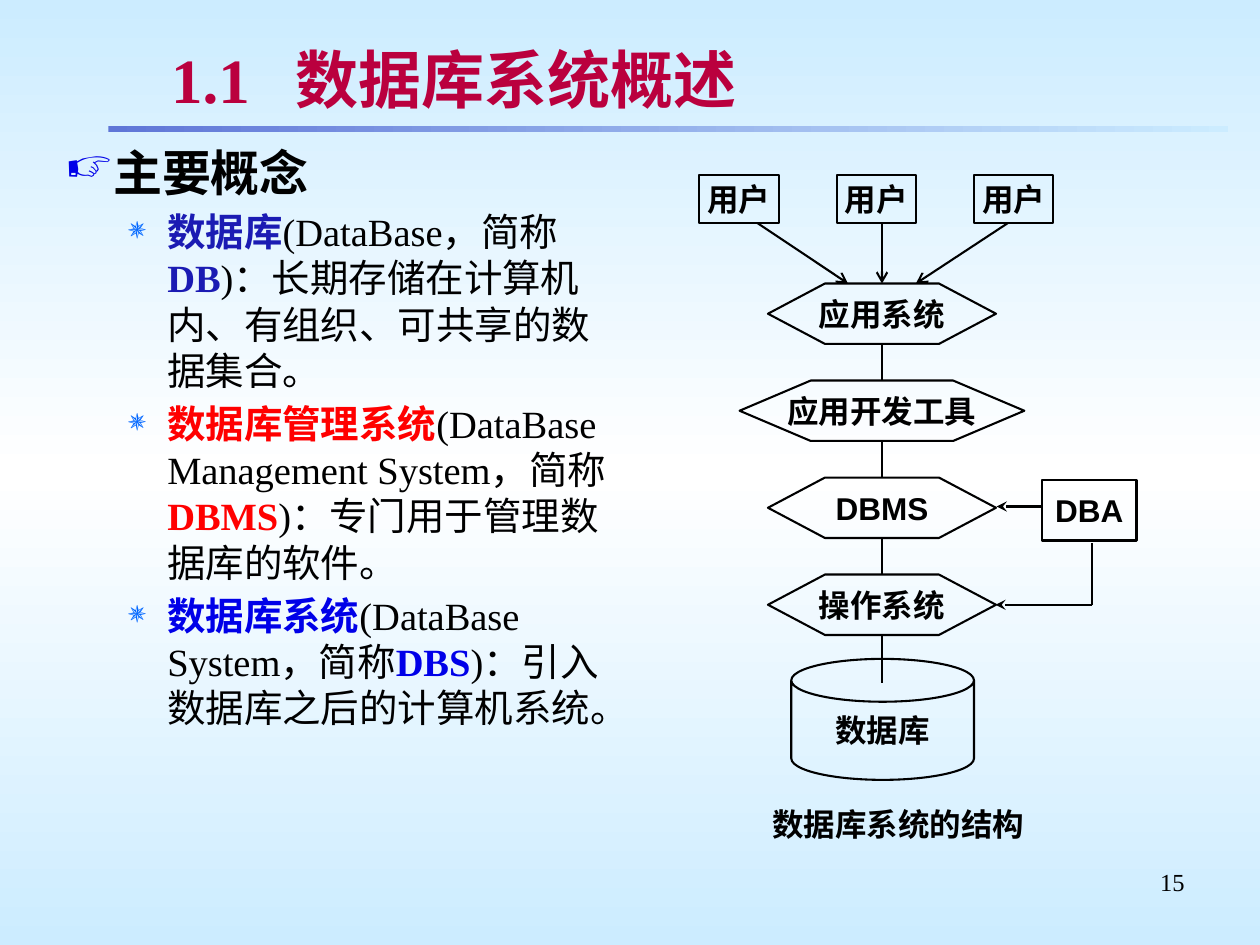
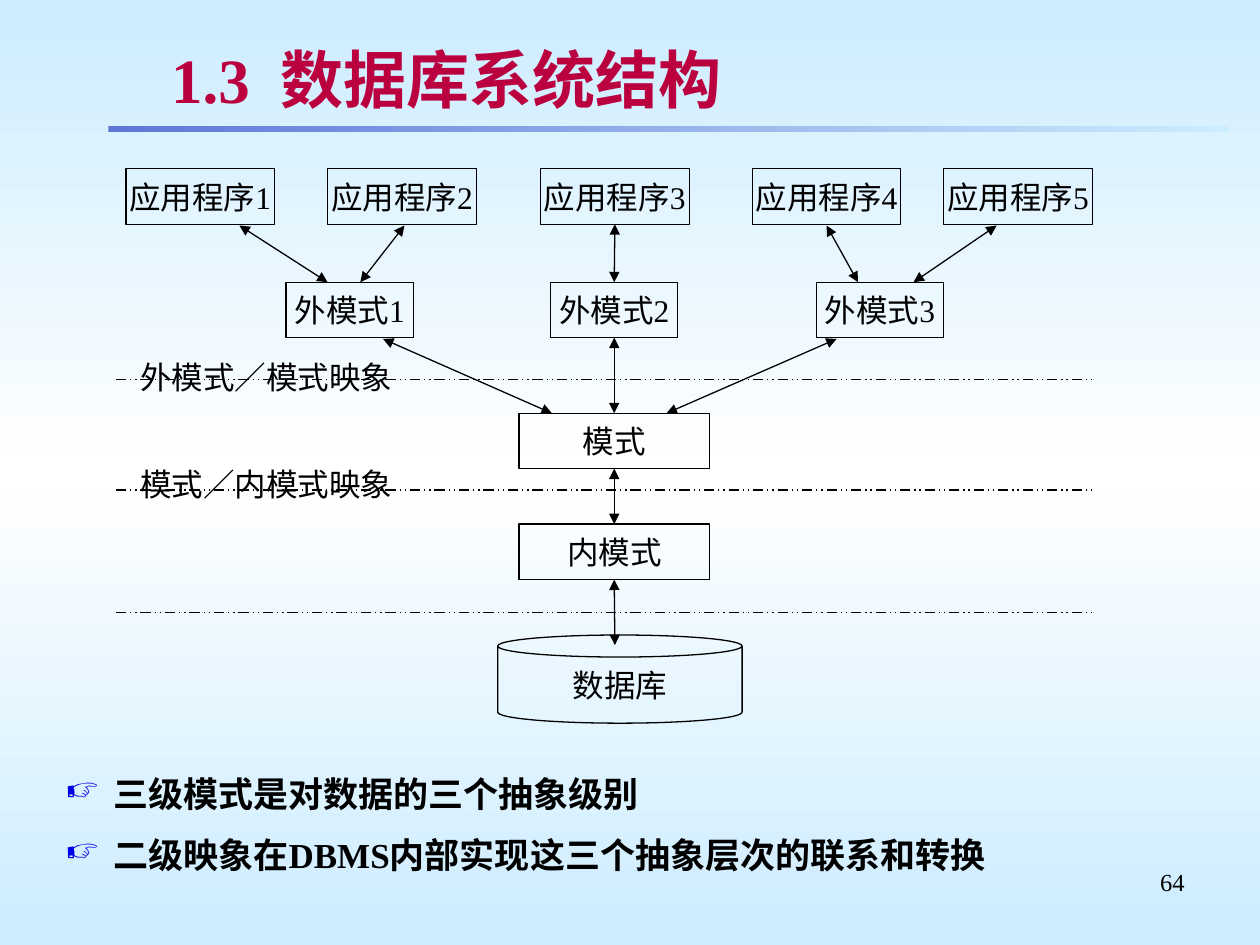
from dataclasses import dataclass
from typing import Any

from lxml import etree
from pptx import Presentation
from pptx.dml.color import RGBColor
from pptx.enum import dml, shapes, text
from pptx.oxml import ns
from pptx.util import Inches, Pt

BLACK = RGBColor(0x00, 0x00, 0x00)
CRIMSON = RGBColor(0xBA, 0x00, 0x3E)
NAVY = RGBColor(0x1B, 0x1B, 0xB3)
RED = RGBColor(0xFF, 0x00, 0x00)
BLUE = RGBColor(0x00, 0x00, 0xE8)
AZURE = RGBColor(0x00, 0x66, 0xFF)
SKY = RGBColor(0xCC, 0xEC, 0xFF)
WHITE = RGBColor(0xFF, 0xFF, 0xFF)
INDIGO = RGBColor(0x5F, 0x76, 0xD7)
SILVER = RGBColor(0xC0, 0xC0, 0xC0)

SERIF, SANS = "Times New Roman", "Arial"
LEFT, CENTER, RIGHT = text.PP_ALIGN.LEFT, text.PP_ALIGN.CENTER, text.PP_ALIGN.RIGHT
MIDDLE, TOP = text.MSO_ANCHOR.MIDDLE, text.MSO_ANCHOR.TOP
RECT, HEXAGON, CAN = (shapes.MSO_SHAPE.RECTANGLE, shapes.MSO_SHAPE.HEXAGON,
                      shapes.MSO_SHAPE.CAN)


def add_xml(parent, tag, **attributes):
    child = etree.SubElement(parent, ns.qn(tag))
    for name, value in attributes.items():
        child.set(name, str(value))
    return child


def paint_gradient(fill, element, colors, angle):
    fill.gradient()
    fill.gradient_angle = angle
    stops = next(element.iter(ns.qn("a:gsLst")))
    for stop in list(stops):
        stops.remove(stop)
    for i, color in enumerate(colors):
        stop = add_xml(stops, "a:gs", pos=100000 * i // (len(colors) - 1))
        add_xml(stop, "a:srgbClr", val=color)


def write(paragraph, words, size=18, font=SERIF, color=BLACK, bold=False, align=LEFT):
    """Add one formatted run to a paragraph."""
    paragraph.alignment = align
    run = paragraph.add_run()
    run.text = words
    run.font.size, run.font.name, run.font.bold = Pt(size), font, bold
    run.font.color.rgb = color
    run._r.get_or_add_rPr().set("lang", "zh-CN")
    return run


def add_bullet(paragraph, symbol, color, percent, indent, hanging):
    props = paragraph._p.get_or_add_pPr()
    props.set("marL", str(Inches(indent)))
    props.set("indent", str(-Inches(hanging)))
    add_xml(add_xml(props, "a:buClr"), "a:srgbClr", val=color)
    add_xml(props, "a:buSzPct", val=percent * 1000)
    add_xml(props, "a:buChar", char=symbol)


def point_bullet(paragraph):
    add_bullet(paragraph, "☞", BLUE, 95, 0.38, 0.38)


@dataclass
class Region:
    """Part of a slide; all lengths inside it are inches from its corner."""
    slide: Any
    left: float
    top: float
    weight: float = 0.75

    def at(self, x, y):
        return Inches(self.left + x), Inches(self.top + y)

    def node(self, kind, words, x, y, w, h, **style):
        node = self.slide.shapes.add_shape(kind, *self.at(x, y), Inches(w), Inches(h))
        node.shadow.inherit = False
        node.fill.background()
        node.line.color.rgb = BLACK
        node.line.width = Pt(self.weight)
        node.text_frame.word_wrap = False
        node.text_frame.vertical_anchor = MIDDLE
        write(node.text_frame.paragraphs[0], words, align=CENTER, **style)
        return node

    def frame(self, x, y, w, h, wrap=True, anchor=TOP):
        box = self.slide.shapes.add_textbox(*self.at(x, y), Inches(w), Inches(h))
        box.text_frame.word_wrap = wrap
        box.text_frame.vertical_anchor = anchor
        return box.text_frame

    def line(self, x1, y1, x2, y2, head=None, tail=None, dash=None):
        line = self.slide.shapes.add_connector(
            shapes.MSO_CONNECTOR.STRAIGHT, *self.at(x1, y1), *self.at(x2, y2))
        line.line.color.rgb = BLACK
        line.line.width = Pt(self.weight)
        if dash:
            line.line.dash_style = dash
        outline = line._element.spPr.find(ns.qn("a:ln"))
        for tag, arrow in (("a:headEnd", head), ("a:tailEnd", tail)):
            if arrow:
                add_xml(outline, tag, type=arrow)
        add_xml(line._element.spPr, "a:effectLst")
        return line


def add_frame(prs, number, heading, heading_tab, page):
    """Background, title, rule and page number shared by all slides."""
    slide = prs.slides.add_slide(prs.slide_layouts[6])
    paint_gradient(slide.background.fill, slide._element, (SKY, WHITE, SKY), 90)
    whole = Region(slide, 0, 0)

    # Rule under the title
    rule = slide.shapes.add_shape(RECT, *whole.at(0.86, 1), Inches(8.89), Inches(0.05))
    rule.shadow.inherit = False
    rule.line.fill.background()
    paint_gradient(rule.fill, rule._element, (INDIGO, SKY), 0)

    # Page number
    footer = whole.frame(7.17, 6.83, 2.33, 0.52)
    write(footer.paragraphs[0], page, size=14, align=RIGHT)

    # Title with a soft text shadow
    title = whole.frame(1.26, 0.29, 8.24, 0.67, anchor=MIDDLE).paragraphs[0]
    tabs = add_xml(title._p.get_or_add_pPr(), "a:tabLst")
    add_xml(tabs, "a:tab", pos=Inches(heading_tab), algn="l")
    run = write(title, f"{number}\t{heading}", size=36, color=CRIMSON, bold=True)
    effects = etree.Element(ns.qn("a:effectLst"))
    shadow = add_xml(effects, "a:outerShdw", dist=Pt(2), dir=2700000)
    add_xml(shadow, "a:srgbClr", val=SILVER)
    run._r.rPr.find(ns.qn("a:solidFill")).addnext(effects)
    return slide


def add_concepts(region):
    """Heading and three definitions."""
    concepts = [
        (NAVY, "数据库", "(DataBase，简称", "DB",
         ")：长期存储在计算机内、有组织、可共享的数据集合。"),
        (RED, "数据库管理系统", "(DataBase Management System，简称", "DBMS",
         ")：专门用于管理数据库的软件。"),
        (BLUE, "数据库系统", "(DataBase System，简称", "DBS",
         ")：引入数据库之后的计算机系统。"),
    ]
    body = region.frame(0, 0, 4.54, 6)
    point_bullet(body.paragraphs[0])
    write(body.paragraphs[0], "主要概念", size=28, bold=True)
    for color, *parts in concepts:
        definition = body.add_paragraph()
        add_bullet(definition, "✵", AZURE, 80, 0.81, 0.31)
        definition.space_before = Pt(4.1)
        for i, part in enumerate(parts):
            is_term = i % 2 == 0
            write(definition, part, size=22, bold=is_term,
                  color=color if is_term else BLACK)


def add_system_stack(region):
    """Layers from the users down to the database."""
    style = dict(font=SANS, bold=True)
    axis, layer_top, pitch, height = 1.45, 0.86, 0.77, 0.48

    # Users and their arrows
    for i in range(3):
        region.node(RECT, "用户", 1.09 * i, 0, 0.63, 0.38, **style)
    for start, end in ((0.46, 1.18), (axis, axis), (2.45, 1.72)):
        region.line(start, 0.38, end, layer_top, tail="arrow")

    # Software layers, each linked to the next
    layers = [("应用系统", 1.81), ("应用开发工具", 2.26), ("DBMS", 1.81), ("操作系统", 1.81)]
    for i, (name, width) in enumerate(layers):
        y = layer_top + pitch * i
        layer = region.node(HEXAGON, name, axis - width / 2, y, width, height, **style)
        layer.adjustments[0] = 0.25 * width / height
        gap = 0.38 if name == layers[-1][0] else pitch - height
        region.line(axis, y + height, axis, y + height + gap)

    # Database
    database = region.node(CAN, "数据库", 0.73, 3.84, 1.45, 0.96, **style)
    database.adjustments[0] = 0.354

    # Administrator
    region.node(RECT, "DBA", 2.72, 2.42, 0.75, height, **style)
    region.line(2.72, 2.63, 2.36, 2.63, tail="stealth")
    region.line(3.12, 2.92, 3.12, 3.41)
    region.line(3.12, 3.41, 2.35, 3.41, tail="stealth")

    # Caption
    caption = region.frame(0.48, 4.95, 2.2, 0.4, wrap=False)
    write(caption.paragraphs[0], "数据库系统的结构", **style)


def add_schema_levels(region):
    """Applications, three schema levels and the mappings between them."""
    height, axis = 0.44, 3.96
    both = dict(head="triangle", tail="triangle")

    # Boxes of each level
    apps = [region.node(RECT, f"应用程序{i}", x, 0, 1.18, height)
            for i, x in enumerate((0.08, 1.68, 3.37, 5.05, 6.57), 1)]
    views = [region.node(RECT, f"外模式{i}", x, 0.9, 1.01, height)
             for i, x in enumerate((1.35, 3.45, 5.56), 1)]
    schema, storage = [region.node(RECT, name, 3.2, y, 1.51, height)
                       for name, y in (("模式", 1.94), ("内模式", 2.82))]
    region.node(CAN, "数据库", 3.03, 3.7, 1.94, 0.7)

    # Dividers and mapping labels
    for y in (1.67, 2.55, 3.52):
        region.line(0, y, 7.74, y, dash=dml.MSO_LINE.DASH_DOT_DOT)
    for name, y in (("外模式／模式映象", 1.41), ("模式／内模式映象", 2.26)):
        label = region.frame(0.01, y, 2.37, 0.48, wrap=False, anchor=MIDDLE)
        write(label.paragraphs[0], name, align=CENTER)

    # Vertical links along the axis
    for upper, lower in ((apps[2], views[1]), (views[1], schema), (schema, storage)):
        link = region.line(axis, 0, axis, 1, **both)
        link.begin_connect(upper, 2)
        link.end_connect(lower, 0)
    region.line(axis, 3.26, axis, 3.78, **both).begin_connect(storage, 2)

    # Slanted links
    for start, end in ((0.98, 1.68), (2.29, 1.94), (5.64, 5.89), (6.99, 6.33)):
        region.line(start, 0.45, end, 0.9, **both)
    for start, end in ((2.12, 3.46), (5.72, 4.37)):
        region.line(start, 1.35, end, 1.94, **both)


def add_conclusions(region):
    """Two closing points."""
    body = region.frame(0, 0, 9.17, 1)
    first, second = body.paragraphs[0], body.add_paragraph()
    for point, words in ((first, "三级模式是对数据的三个抽象级别"),
                         (second, "二级映象在DBMS内部实现这三个抽象层次的联系和转换")):
        point_bullet(point)
        write(point, words, size=20, bold=True, align=text.PP_ALIGN.JUSTIFY)
    second.line_spacing = 1.3
    second.space_before = Pt(3.7)


def main():
    prs = Presentation()
    prs.slide_width, prs.slide_height = Inches(10), Inches(7.5)

    overview = add_frame(prs, "1.1", "数据库系统概述", 0.99, "15")
    add_concepts(Region(overview, 0.42, 1.08))
    add_system_stack(Region(overview, 5.55, 1.39, weight=1.19))

    structure = add_frame(prs, "1.3", "数据库系统结构", 0.87, "64")
    add_conclusions(Region(structure, 0.42, 6.08))
    add_schema_levels(Region(structure, 0.92, 1.34))

    prs.save("out.pptx")


if __name__ == "__main__":
    main()
